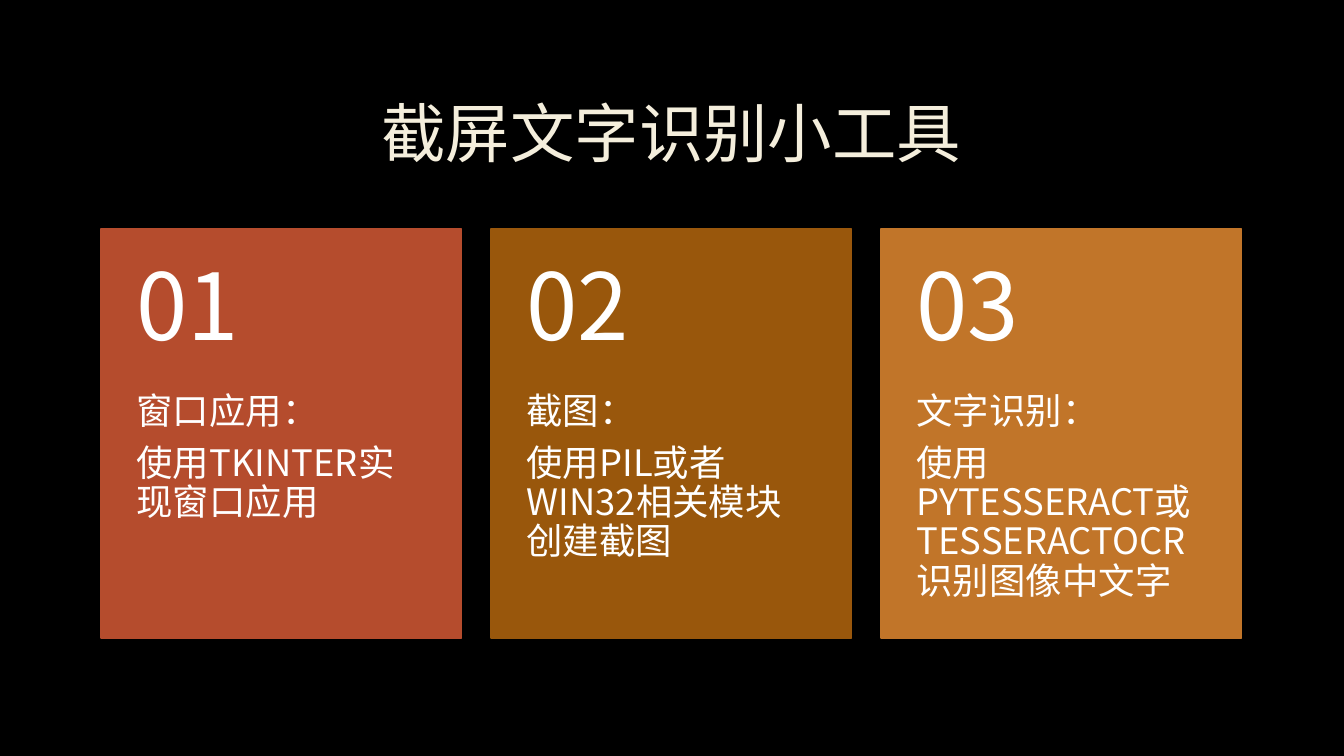
from pptx import Presentation
from pptx import util as u
from pptx.dml.color import RGBColor
from pptx.enum import shapes, text
from pptx.oxml.ns import qn
from lxml import etree

FONT = "Noto Sans CJK SC"
COLORS = {"background": "000000", "title": "F4EEDC", "text": "FFFFFF"}
CARDS = [
    ("B54C2D", "窗口应用：", "使用TKINTER实现窗口应用"),
    ("99570C", "截图：", "使用PIL或者WIN32相关模块创建截图"),
    ("C17529", "文字识别：", "使用PYTESSERACT或TESSERACTOCR识别图像中文字"),
]


def add_text(parent, place, lines, size, color, anchor, insets=None, after=0):
    box = parent.add_textbox(*(u.Cm(length) for length in place))
    frame = box.text_frame
    frame.word_wrap = True
    frame.vertical_anchor = anchor
    if insets:
        side, top, bottom = (u.Cm(length) for length in insets)
        frame.margin_left = frame.margin_right = side
        frame.margin_top, frame.margin_bottom = top, bottom
    frame.text = "\n".join(lines)
    for para in frame.paragraphs:
        para.line_spacing = 0.9
        para.space_after = u.Pt(after)
        para.font.size = u.Pt(size)
        para.font.name = FONT
        para.font.color.rgb = RGBColor.from_string(color)
        # Chinese characters take the East Asian typeface
        properties = para._p.pPr.find(qn("a:defRPr"))
        etree.SubElement(properties, qn("a:ea"), typeface=FONT)
    return frame


# Deck and background
deck = Presentation()
deck.slide_width, deck.slide_height = u.Cm(33.87), u.Cm(19.05)
page = deck.slides.add_slide(deck.slide_layouts[6])
page.background.fill.solid()
page.background.fill.fore_color.rgb = RGBColor.from_string(COLORS["background"])

# Title
title = add_text(page.shapes, (2.54, 1.7, 28.75, 3.51), ["截屏文字识别小工具"],
                 46, COLORS["title"], text.MSO_ANCHOR.MIDDLE)
title.paragraphs[0].alignment = text.PP_ALIGN.CENTER

# Numbered cards
left, top, width, height = 2.54, 5.77, 9.09, 10.31
pitch, number_height = 9.83, 4.13
cards = page.shapes.add_group_shape().shapes
for index, (color, heading, detail) in enumerate(CARDS):
    x = left + index * pitch
    card = cards.add_shape(shapes.MSO_SHAPE.RECTANGLE,
                           u.Cm(x), u.Cm(top), u.Cm(width), u.Cm(height))
    card.shadow.inherit = False
    card.fill.solid()
    card.fill.fore_color.rgb = RGBColor.from_string(color)
    card.line.color.rgb = RGBColor.from_string(color)
    card.line.width = u.Pt(1.25)

    add_text(cards, (x, top + number_height, width, height - number_height),
             [heading, detail], 26, COLORS["text"], text.MSO_ANCHOR.TOP,
             (0.9, 0, 0.91), 9)
    add_text(cards, (x, top, width, number_height), [f"{index + 1:02}"],
             66, COLORS["text"], text.MSO_ANCHOR.MIDDLE, (0.9, 0.46, 0.46), 23)

deck.save("out.pptx")
